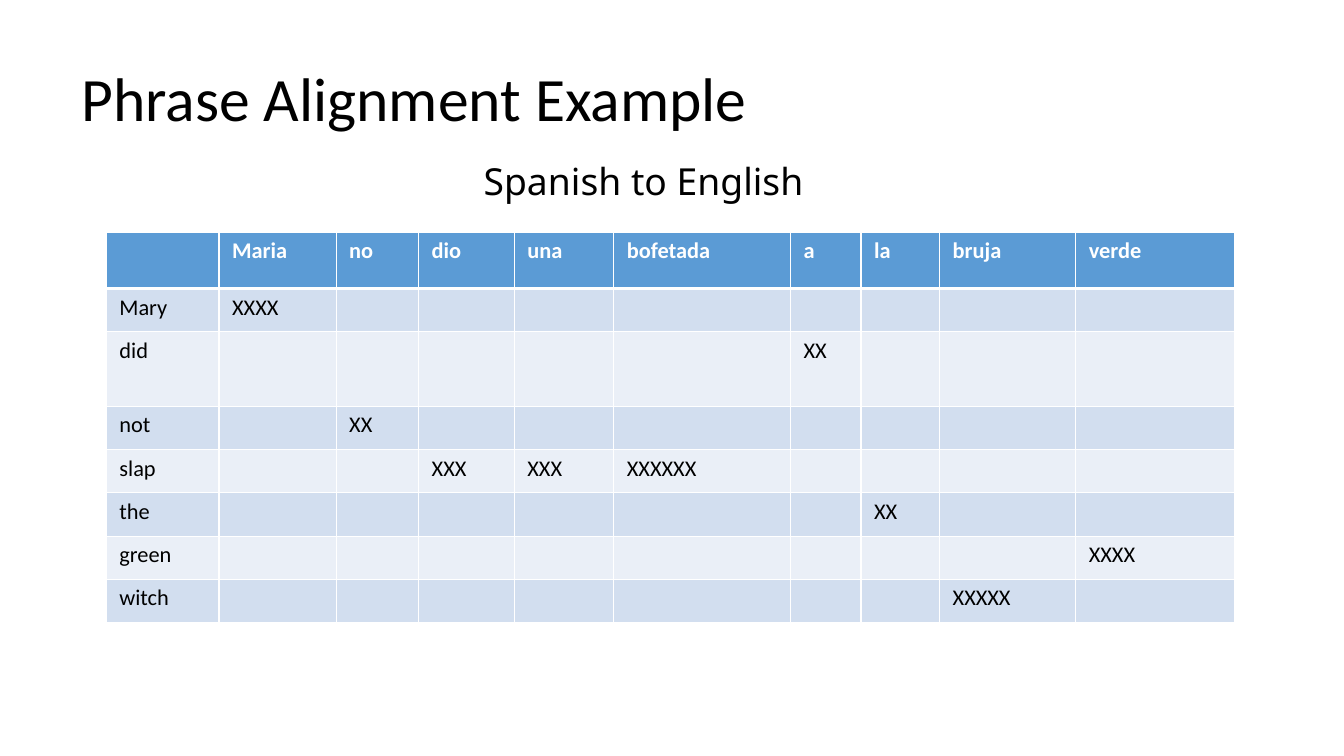
from lxml import etree
from pptx import Presentation
from pptx.dml.color import RGBColor
from pptx.enum.text import MSO_ANCHOR
from pptx.oxml.ns import qn
from pptx.util import Cm, Pt

TITLE = "Phrase Alignment Example"
SUBTITLE = "Spanish to English"
SPANISH = ["Maria", "no", "dio", "una", "bofetada", "a", "la", "bruja", "verde"]
ENGLISH = ["Mary", "did", "not", "slap", "the", "green", "witch"]
ALIGNMENTS = {
    ("Mary", "Maria"): "XXXX",
    ("did", "a"): "XX",
    ("not", "no"): "XX",
    ("slap", "dio"): "XXX",
    ("slap", "una"): "XXX",
    ("slap", "bofetada"): "XXXXXX",
    ("the", "la"): "XX",
    ("green", "verde"): "XXXX",
    ("witch", "bruja"): "XXXXX",
}
COLUMN_WIDTHS = [2.84, 2.95, 2.08, 2.41, 2.51, 4.45, 1.78, 1.98, 3.43, 4.01]
HEADER_HEIGHT, ROW_HEIGHT = 1.42, 1.09
TALL_ROWS = {"did": 1.88}

BLACK = RGBColor(0x00, 0x00, 0x00)
WHITE = RGBColor(0xFF, 0xFF, 0xFF)
HEADER_BLUE = RGBColor(0x5B, 0x9B, 0xD5)
BANDS = [RGBColor(0xEA, 0xEF, 0xF7), RGBColor(0xD2, 0xDE, 0xEF)]
MIDDLE = MSO_ANCHOR.MIDDLE


def format_text(paragraph, font_name, size, color, bold=False):
    for run in paragraph.runs:
        run.font.name = font_name
        run.font.size = Pt(size)
        run.font.color.rgb = color
        run.font.bold = bold


def add_text(slide, text, position, font_name, size, wrap):
    shape = slide.shapes.add_textbox(*map(Cm, position))
    shape.text_frame.text = text
    shape.text_frame.word_wrap = wrap
    format_text(shape.text_frame.paragraphs[0], font_name, size, BLACK)
    return shape


def add_borders(cell, widths):
    properties = cell._tc.get_or_add_tcPr()
    for side, width in widths.items():
        line = etree.SubElement(properties, qn(f"a:ln{side}"), w=str(Pt(width)))
        fill = etree.SubElement(line, qn("a:solidFill"))
        etree.SubElement(fill, qn("a:srgbClr"), val=str(WHITE))


def fill_cell(cell, text, row_index):
    is_header = row_index == 0
    add_borders(cell, {
        "L": 1,
        "R": 1,
        "T": 3 if row_index == 1 else 1,
        "B": 3 if is_header else 1,
    })
    cell.fill.solid()
    cell.fill.fore_color.rgb = HEADER_BLUE if is_header else BANDS[row_index % 2]
    cell.margin_left = cell.margin_right = Cm(0.33)
    cell.margin_top = cell.margin_bottom = Cm(0.13)
    cell.text_frame.text = text
    color = WHITE if is_header else BLACK
    format_text(cell.text_frame.paragraphs[0], "Calibri", 16, color, is_header)


def add_alignment_table(slide):
    rows = [["", *SPANISH]]
    for english in ENGLISH:
        marks = [ALIGNMENTS.get((english, spanish), "") for spanish in SPANISH]
        rows.append([english, *marks])
    heights = [HEADER_HEIGHT]
    heights += [TALL_ROWS.get(english, ROW_HEIGHT) for english in ENGLISH]
    table = slide.shapes.add_table(
        len(rows), len(COLUMN_WIDTHS), Cm(2.68), Cm(5.85),
        Cm(sum(COLUMN_WIDTHS)), Cm(sum(heights)),
    ).table
    for column, width in zip(table.columns, COLUMN_WIDTHS):
        column.width = Cm(width)
    for row_index, (row, height) in enumerate(zip(rows, heights)):
        table.rows[row_index].height = Cm(height)
        for column_index, text in enumerate(row):
            fill_cell(table.cell(row_index, column_index), text, row_index)


def main():
    presentation = Presentation()
    presentation.slide_width = Cm(33.87)
    presentation.slide_height = Cm(19.05)
    slide = presentation.slides.add_slide(presentation.slide_layouts[6])
    title = add_text(slide, TITLE, (1.8, 0.71, 29.21, 3.68), "Calibri", 44, True)
    title.text_frame.vertical_anchor = MIDDLE
    title.text_frame.paragraphs[0].line_spacing = 0.9
    add_alignment_table(slide)
    add_text(slide, SUBTITLE, (11.94, 3.86, 8.86, 1.4), "Noto Sans", 26.6, False)
    presentation.save("out.pptx")


if __name__ == "__main__":
    main()
